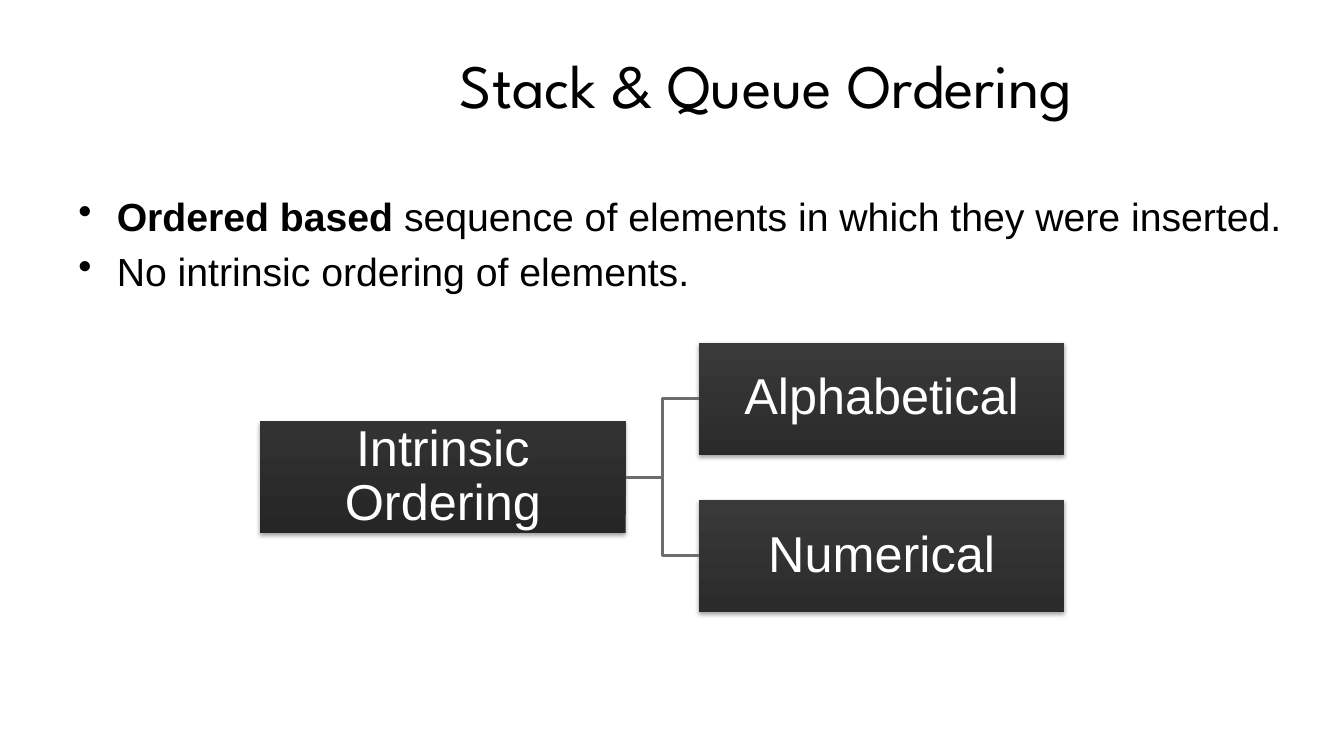
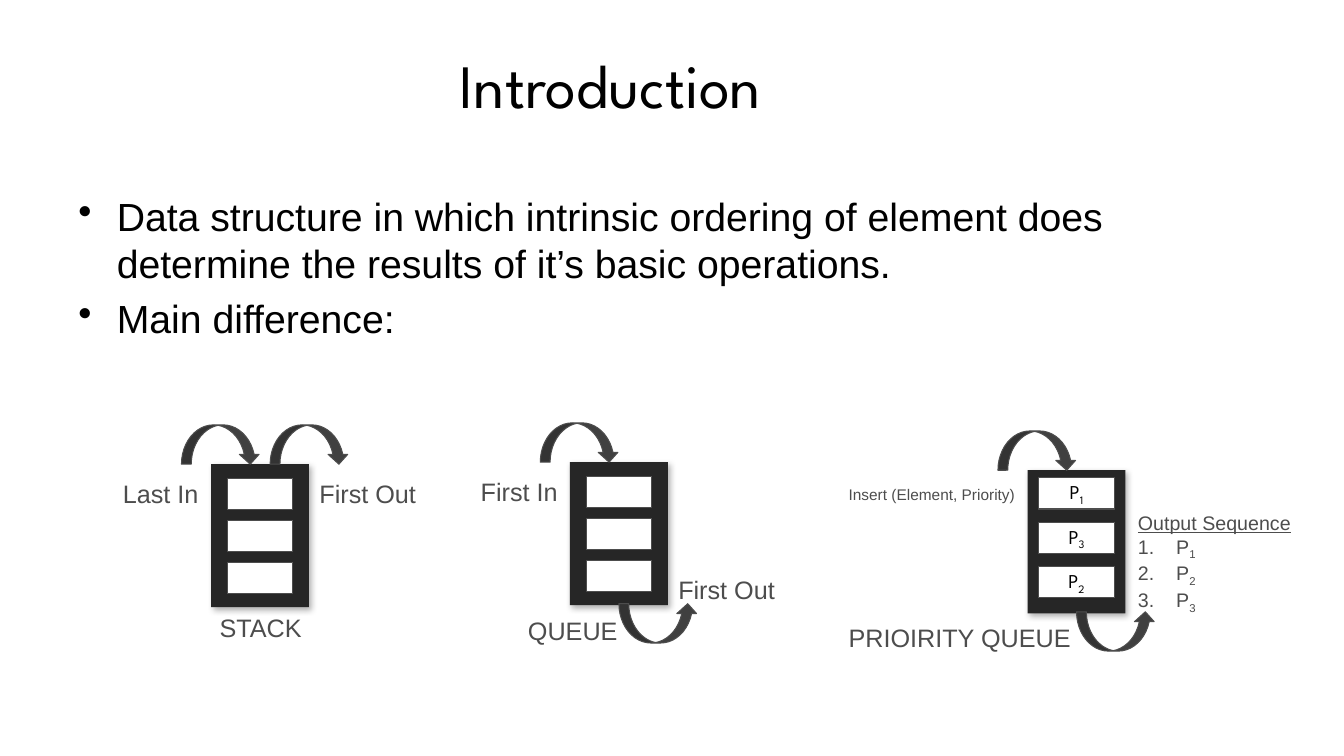
"""Build two slides on intrinsic ordering and priority queues."""
from dataclasses import dataclass

from lxml.etree import SubElement
from pptx import Presentation
from pptx.dml.color import RGBColor
from pptx.enum.shapes import MSO_CONNECTOR, MSO_SHAPE
from pptx.enum.text import MSO_ANCHOR, PP_ALIGN
from pptx.oxml.ns import qn
from pptx.util import Inches, Pt

BOLD = {"b": "1"}
UNDERLINE = {"u": "sng"}
SUBSCRIPT = {"baseline": "-25000"}
BULLET = ("buChar", {"char": "•"})
NUMBER = ("buAutoNum", {"type": "arabicPeriod"})


@dataclass(frozen=True)
class Theme:
    """Colours, fonts and type sizes shared by the slides."""
    ink: str = "000000"
    paper: str = "FFFFFF"
    label: str = "4D4D4D"
    branch: str = "6C6C6C"
    container: str = "262626"
    arrow: str = "404040"
    parent_fade: tuple = ("262626", "323232")
    child_fade: tuple = ("2B2B2B", "393939")
    display: str = "League Spartan"
    text: str = "Arial"
    title_size: float = 44
    box_size: float = 36
    body_size: float = 28
    label_size: float = 18
    cell_size: float = 14
    note_size: float = 11


class Deck:
    """Style and current slide; lengths are percentages of the slide."""

    def __init__(self, theme):
        """Start a widescreen presentation."""
        self.theme = theme
        self.presentation = Presentation()
        self.presentation.slide_width = Inches(13.33)
        self.presentation.slide_height = Inches(7.5)
        self.slide = None

    def area(self, left, top, width, height):
        """Turn shares of the slide into lengths."""
        across = self.presentation.slide_width / 100
        down = self.presentation.slide_height / 100
        return [round(share * side) for share, side in
                zip((left, top, width, height), (across, down, across, down))]

    def style(self, paragraph, size, color, face):
        """Set the font of a paragraph."""
        font = paragraph.font
        font.size, font.name = Pt(size), face
        font.color.rgb = RGBColor.from_string(color)

    def add_runs(self, paragraph, runs):
        """Add runs, each a string or a pair of text and marks."""
        for part in [runs] if isinstance(runs, str) else runs:
            text, marks = (part, {}) if isinstance(part, str) else part
            run = paragraph.add_run()
            run.text = text
            for mark, value in marks.items():
                run._r.get_or_add_rPr().set(mark, value)

    def list_mark(self, paragraph, mark):
        """Give a paragraph a hanging bullet or number."""
        properties = paragraph._p.get_or_add_pPr()
        properties.set("marL", str(Inches(0.38)))
        properties.set("indent", str(-Inches(0.38)))
        tag, values = mark
        SubElement(properties, qn(f"a:{tag}"), values)

    def new_slide(self, heading, width):
        """Add a slide with its title."""
        self.slide = self.presentation.slides.add_slide(
            self.presentation.slide_layouts[5])
        title = self.slide.shapes.title
        title.left, title.top, title.width, title.height = self.area(
            33.46, 3.73, width, 14.67)
        title.text_frame.vertical_anchor = MSO_ANCHOR.MIDDLE
        paragraph = title.text_frame.paragraphs[0]
        paragraph.alignment = PP_ALIGN.LEFT
        self.add_runs(paragraph, heading)
        self.style(paragraph, self.theme.title_size, self.theme.ink,
                   self.theme.display)

    def text(self, area, lines, size, color, space=0):
        """Add a text box from pairs of list mark and runs."""
        frame = self.slide.shapes.add_textbox(*self.area(*area)).text_frame
        frame.word_wrap = True
        for index, (mark, runs) in enumerate(lines):
            paragraph = frame.add_paragraph() if index else frame.paragraphs[0]
            paragraph.space_before = Pt(space)
            if mark:
                self.list_mark(paragraph, mark)
            self.add_runs(paragraph, runs)
            self.style(paragraph, size, color, self.theme.text)

    def body(self, width, height, points):
        """Add the bulleted body."""
        self.text((5.1, 24.8, width, height), [(BULLET, point) for point in points],
                  self.theme.body_size, self.theme.ink, 5.6)

    def label(self, left, top, width, caption, size=None):
        """Add a one-line label."""
        self.text((left, top, width, 5.33), [(None, caption)],
                  size or self.theme.label_size, self.theme.label)

    def shape(self, kind, area, fill=None, line=None):
        """Add a flat preset shape."""
        shape = self.slide.shapes.add_shape(kind, *self.area(*area))
        shape.shadow.inherit = False
        if fill:
            shape.fill.solid()
            shape.fill.fore_color.rgb = RGBColor.from_string(fill)
        if line:
            shape.line.color.rgb = RGBColor.from_string(line)
            shape.line.width = Pt(0.75)
        else:
            shape.line.fill.background()
        return shape

    def cast_shadow(self, shape, opacity, blur, distance, angle):
        """Give a shape a soft black shadow."""
        effects = shape._element.spPr.find(qn("a:effectLst"))
        shadow = SubElement(effects, qn("a:outerShdw"), {
            "blurRad": str(Pt(blur)), "dist": str(Pt(distance)),
            "dir": str(angle * 60000), "rotWithShape": "0"})
        black = SubElement(shadow, qn("a:srgbClr"), {"val": self.theme.ink})
        SubElement(black, qn("a:alpha"), {"val": str(opacity * 1000)})

    def inscribe(self, shape, runs, size, color, face, inset):
        """Centre text inside a shape."""
        frame = shape.text_frame
        frame.word_wrap = True
        frame.vertical_anchor = MSO_ANCHOR.MIDDLE
        frame.margin_left = frame.margin_right = Inches(inset)
        frame.margin_top = frame.margin_bottom = Inches(inset)
        paragraph = frame.paragraphs[0]
        paragraph.alignment = PP_ALIGN.CENTER
        self.add_runs(paragraph, runs)
        self.style(paragraph, size, color, face)
        return paragraph

    def tree_box(self, left, top, caption, fade):
        """Add a shaded box of the tree."""
        box = self.shape(MSO_SHAPE.RECTANGLE, (left, top, 27.2, 14.8))
        box.fill.gradient()
        box.fill.gradient_angle = 90
        for stop, color in zip(box.fill.gradient_stops, fade):
            stop.color.rgb = RGBColor.from_string(color)
        self.cast_shadow(box, 36, 3.1, 1.7, 90)
        self.inscribe(box, caption, self.theme.box_size, self.theme.paper,
                      self.theme.text, 0.03).line_spacing = 0.9
        return box

    def branch(self, parent, child):
        """Join two tree boxes with an elbow."""
        elbow = self.slide.shapes.add_connector(MSO_CONNECTOR.ELBOW, 0, 0, 0, 0)
        elbow.begin_connect(parent, 3)
        elbow.end_connect(child, 1)
        elbow.line.color.rgb = RGBColor.from_string(self.theme.branch)
        elbow.line.width = Pt(2)
        SubElement(elbow._element.spPr, qn("a:effectLst"))

    def container(self, left, top, cells=("", "", ""), cell_width=4.88,
                  first=1.85, pitch=5.55):
        """Add a three-cell container with its incoming arrow."""
        block = self.shape(MSO_SHAPE.RECTANGLE, (left, top, 7.28, 18.93),
                           self.theme.container)
        self.cast_shadow(block, 30, 4.5, 2.6, 53)
        for index, runs in enumerate(cells):
            cell = self.shape(
                MSO_SHAPE.RECTANGLE,
                (left + (7.28 - cell_width) / 2, top + first + index * pitch,
                 cell_width, 4.13), self.theme.paper, self.theme.label)
            if runs:
                self.inscribe(cell, runs, self.theme.cell_size, self.theme.ink,
                              self.theme.display, 0)
        self.arrow(left - 2.21, top - 5.2)

    def arrow(self, left, top, upward=False):
        """Add a curved arrow, mirrored when it points upward."""
        arrow = self.shape(MSO_SHAPE.CURVED_DOWN_ARROW, (left, top, 5.85, 5.2),
                           self.theme.arrow, self.theme.label)
        if upward:
            arrow._element.spPr.find(qn("a:xfrm")).set("flipV", "1")


def element(rank):
    """Return the runs of a numbered element."""
    return ["P", (str(rank), SUBSCRIPT)]


def ordering_slide(deck):
    """Show the kinds of intrinsic ordering."""
    deck.new_slide("Stack & Queue Ordering", 57.16)
    deck.body(93.47, 18.8, [
        [("Ordered based ", BOLD),
         "sequence of elements in which they were inserted."],
        "No intrinsic ordering of elements."])
    first, pitch = 45.33, 20.8
    root = deck.tree_box(19.35, first + pitch / 2, "Intrinsic Ordering",
                         deck.theme.parent_fade)
    for index, kind in enumerate(("Alphabetical", "Numerical")):
        leaf = deck.tree_box(52, first + index * pitch, kind,
                             deck.theme.child_fade)
        deck.branch(root, leaf)


def introduction_slide(deck):
    """Compare stack, queue and priority queue."""
    deck.new_slide("Introduction", 61.44)
    deck.body(89.8, 25.2, [
        "Data structure in which intrinsic ordering of element does "
        "determine the results of it’s basic operations.",
        "Main difference:"])

    stack_left, stack_top = 15.71, 61.4
    deck.container(stack_left, stack_top)
    deck.arrow(stack_left + 4.39, stack_top - 5.2)
    deck.label(8.4, 62.67, 7.43, "Last In")
    deck.label(23.03, 62.67, 9.15, "First Out")
    deck.label(15.6, 80.4, 7.8, "STACK")

    queue_left, queue_top = 42.41, 61.13
    deck.container(queue_left, queue_top)
    deck.arrow(queue_left + 3.64, queue_top + 18.73, upward=True)
    deck.label(35.03, 62.4, 7.43, "First In")
    deck.label(49.73, 75.33, 9.15, "First Out")
    deck.label(38.55, 80.67, 8.4, "QUEUE")

    priority_left, priority_top = 76.46, 62.2
    deck.container(priority_left, priority_top,
                   [element(rank) for rank in (1, 3, 2)], 5.7, 1, 5.87)
    deck.arrow(priority_left + 3.64, priority_top + 18.73, upward=True)
    deck.label(62.4, 63.47, 14.1, "Insert (Element, Priority)",
               deck.theme.note_size)
    deck.label(62.4, 81.6, 18.15, "PRIOIRITY QUEUE")
    deck.text((83.93, 66.93, 13.88, 13.87),
              [(None, [("Output Sequence", UNDERLINE)])]
              + [(NUMBER, element(rank)) for rank in (1, 2, 3)],
              deck.theme.cell_size, deck.theme.label)


deck = Deck(Theme())
ordering_slide(deck)
introduction_slide(deck)
deck.presentation.save("out.pptx")
